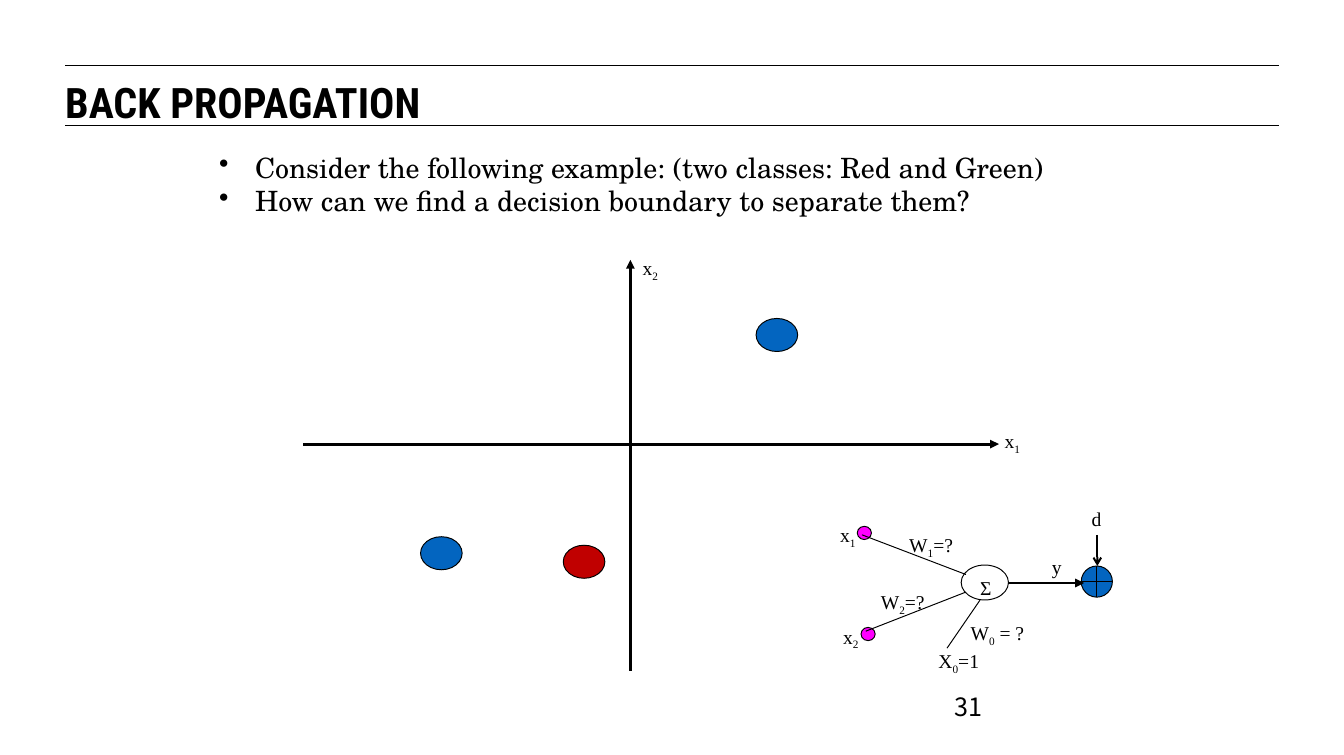
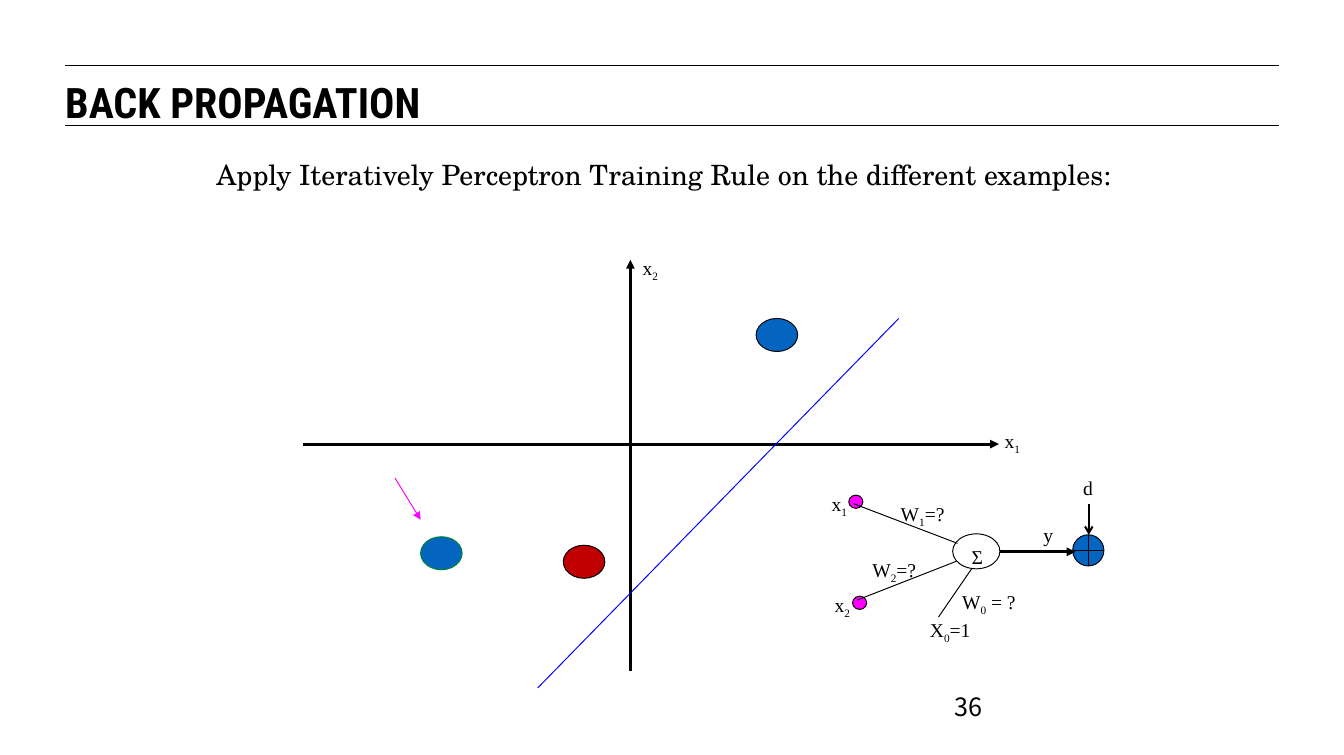
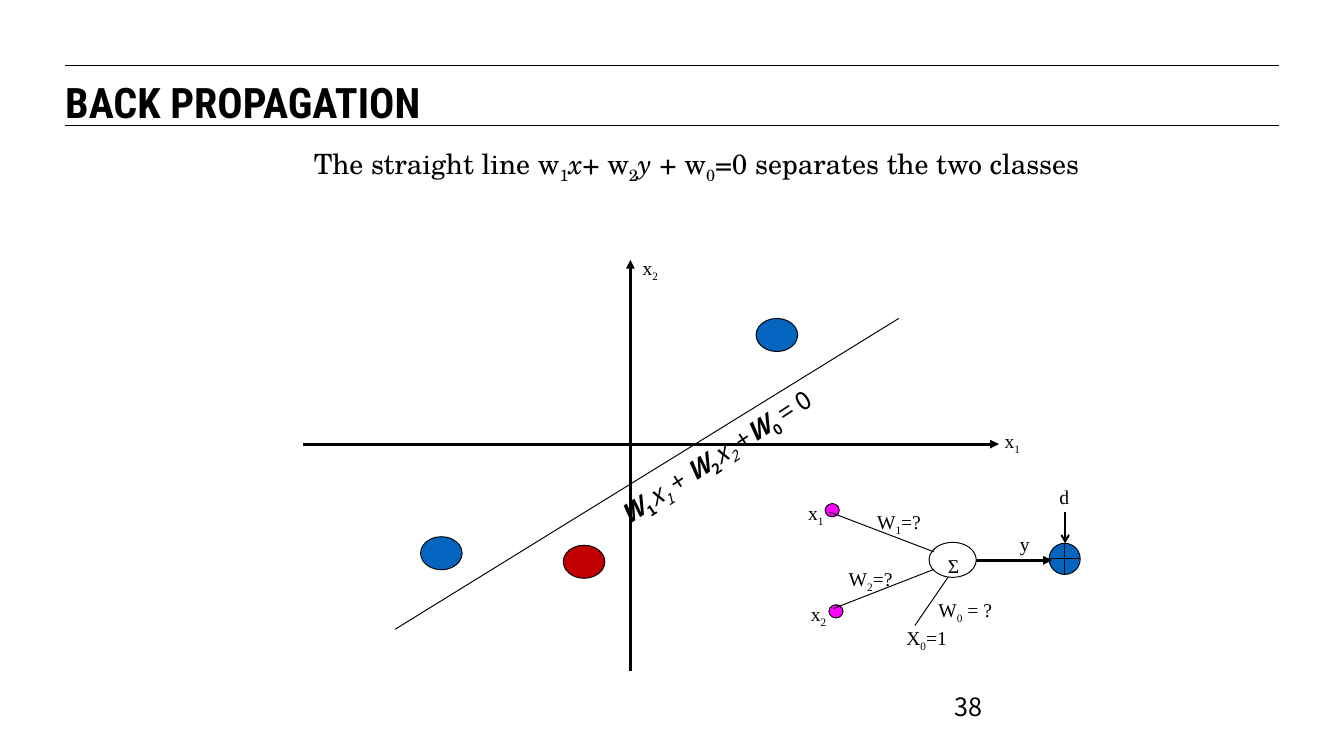
"""Build three slides on finding a decision boundary with a perceptron."""
from dataclasses import dataclass

from lxml import etree
from pptx import Presentation
from pptx import util as u
from pptx.dml.color import RGBColor
from pptx.enum import shapes, text
from pptx.oxml import ns


@dataclass(frozen=True)
class Theme:
    ink: str = "000000"
    red: str = "C00000"
    blue: str = "0365C0"
    green: str = "00882B"
    magenta: str = "FF00FF"
    boundary: str = "0000FF"
    title: tuple = ("Roboto Condensed", 32)
    body: tuple = ("TeX Gyre Schola", 21.3)
    label: tuple = ("Times New Roman", 14.9)
    plain: tuple = ("Noto Sans CJK KR", 19.2)
    thin: float = 0.75
    medium: float = 1.5
    thick: float = 2.25


theme = Theme()
COLUMNS, ROWS = 14.22, 7.99
deck = Presentation()
deck.slide_width, deck.slide_height = u.Inches(COLUMNS), u.Inches(ROWS)
column, row = deck.slide_width / COLUMNS, deck.slide_height / ROWS


def add_text(parent, at, paragraphs, style, wrap=True, grow=True, inset=(0.11, 0.05), bullet=False):
    """Add a text box; run marks are b for bold, i for italic, _ for subscript."""
    left, top, width, height = at
    box = parent.add_textbox(int(left * column), int(top * row), int(width * column), int(height * row))
    frame = box.text_frame
    frame.word_wrap = wrap
    frame.auto_size = text.MSO_AUTO_SIZE.SHAPE_TO_FIT_TEXT if grow else text.MSO_AUTO_SIZE.NONE
    frame.margin_left = frame.margin_right = int(inset[0] * column)
    frame.margin_top = frame.margin_bottom = int(inset[1] * row)
    for index, runs in enumerate(paragraphs):
        para = frame.paragraphs[0] if index == 0 else frame.add_paragraph()
        if bullet:
            props = para._p.get_or_add_pPr()
            props.set("marL", str(int(0.38 * column)))
            props.set("indent", str(int(-0.38 * column)))
            colour = etree.SubElement(props, ns.qn("a:buClr"))
            etree.SubElement(colour, ns.qn("a:srgbClr"), val=theme.ink)
            etree.SubElement(props, ns.qn("a:buChar"), char="•")
        for words, marks in runs:
            span = para.add_run()
            span.text = words
            span.font.name, span.font.size = style[0], u.Pt(style[1])
            span.font.color.rgb = RGBColor.from_string(theme.ink)
            span.font.bold, span.font.italic = "b" in marks, "i" in marks
            if "_" in marks:
                span._r.get_or_add_rPr().set("baseline", "-25000")
    return box


def add_line(parent, start, end, weight=theme.thin, colour=theme.ink, head=None):
    """Add a straight line, with an arrowhead at its end if one is named."""
    line = parent.add_connector(
        shapes.MSO_CONNECTOR.STRAIGHT,
        int(start[0] * column), int(start[1] * row), int(end[0] * column), int(end[1] * row))
    line.line.width = u.Pt(weight)
    line.line.color.rgb = RGBColor.from_string(colour)
    if head:
        etree.SubElement(line.line._get_or_add_ln(), ns.qn("a:tailEnd"), type=head)
    etree.SubElement(line._element.spPr, ns.qn("a:effectLst"))


x1, x2 = ([("x", ""), (digit, "_")] for digit in "12")
w0, w1, w2 = ([("W", ""), (digit, "_"), (rest, "")] for digit, rest in zip("012", (" = ?", "=?", "=?")))
bias = [("X", ""), ("0", "_"), ("=1", "")]

network_labels = [
    (0, 0.17, 0.39, x1), (0.03, 1.24, 0.39, x2), (1.04, 1.5, 0.66, bias),
    (1.38, 1.2, 0.8, w0), (0.73, 0.27, 0.69, w1), (0.43, 0.87, 0.69, w2),
    (1.48, 0.73, 0.34, [("Σ", "")]), (2.24, 0.5, 0.32, [("y", "")]), (2.66, 0, 0.32, [("d", "")]),
]
network_lines = [
    ((0.34, 0.34), (1.44, 0.76), theme.thin, None),
    ((0.38, 1.36), (1.43, 0.95), theme.thin, None),
    ((1.24, 1.54), (1.59, 1.03), theme.thin, None),
    ((1.89, 0.85), (2.69, 0.85), theme.thick, "triangle"),
    ((2.83, 0.34), (2.83, 0.67), theme.medium, "arrow"),
]
oval, summing = shapes.MSO_SHAPE.OVAL, shapes.MSO_SHAPE.FLOWCHART_OR
network_nodes = [
    (oval, 0.33, 1.32, 0.15, 0.14, theme.magenta), (oval, 0.29, 0.25, 0.15, 0.14, theme.magenta),
    (oval, 1.39, 0.66, 0.5, 0.37, None), (summing, 2.66, 0.67, 0.33, 0.33, theme.blue),
]
points = [(5.96, 5.77, theme.red), (8, 3.37, theme.blue), (4.45, 5.68, theme.blue)]

formula = [
    ("W", "bi"), ("1", "b_"), ("x", "i"), ("1", "i_"), (" + ", ""),
    ("W", "bi"), ("2", "b_"), ("x", "i"), ("2", "i_"), (" +", ""),
    ("W", "bi"), ("0", "b_"), (" = 0", ""),
]
slides = [
    dict(number="31", network=(8.78, 5.32), at=(2.21, 1.54, 10.03, 0.82), bullet=True,
         body=[[("Consider the following example: (two classes: Red and Green)", "")],
               [("How can we find a decision boundary to separate them?", "")]],
         last_outline=theme.ink, lines=[], formula=False),
    dict(number="36", network=(8.69, 4.99), at=(2.18, 1.62, 10.03, 0.47), bullet=False,
         body=[[("Apply Iteratively Perceptron Training Rule on the different examples:", "")]],
         last_outline=theme.green, formula=False,
         lines=[((9.51, 3.37), (5.69, 7.28), theme.thin, theme.boundary, None),
                ((4.18, 5.06), (4.45, 5.5), theme.thin, theme.magenta, "triangle")]),
    dict(number="38", network=(8.44, 5.08), at=(3.21, 1.5, 8.61, 0.47), bullet=False,
         body=[[("The straight line w", ""), ("1", "_"), ("x", "i"), ("+ w", ""), ("2", "_"), ("y", "i"),
                (" + w", ""), ("0", "_"), ("=0 separates the two classes", "")]],
         last_outline=theme.ink, formula=True,
         lines=[((9.51, 3.37), (4.18, 6.66), theme.thin, theme.ink, None)]),
]

for content in slides:
    page = deck.slides.add_slide(deck.slide_layouts[6])
    for level in (0.69, 1.33):
        add_line(page.shapes, (0.69, level), (13.53, level))
    add_text(page.shapes, (0.69, 0.81, 12.83, 0.47), [[("BACK PROPAGATION", "b")]], theme.title,
             grow=False, inset=(0, 0))
    add_text(page.shapes, (9.99, 7.27, 2.22, 0.53), [[(content["number"], "")]], theme.plain, grow=False)
    add_text(page.shapes, content["at"], content["body"], theme.body, bullet=content["bullet"])

    add_line(page.shapes, (6.67, 7.1), (6.67, 2.75), theme.thick, head="triangle")
    add_line(page.shapes, (3.21, 4.7), (10.57, 4.7), theme.thick, head="triangle")
    for left, top, name in ((10.52, 4.49, x1), (6.69, 2.66, x2)):
        add_text(page.shapes, (left, top, 0.39, 0.36), [name], theme.label, wrap=False)

    network = page.shapes.add_group_shape().shapes
    across, down = content["network"]
    outlines = [theme.ink, theme.ink, content["last_outline"]]
    nodes = [(page.shapes, oval, left, top, 0.44, 0.35, fill, outline)
             for (left, top, fill), outline in zip(points, outlines)]
    nodes += [(network, kind, across + left, down + top, width, height, fill, theme.ink)
              for kind, left, top, width, height, fill in network_nodes]
    for parent, kind, left, top, width, height, fill, outline in nodes:
        node = parent.add_shape(
            kind, int(left * column), int(top * row), int(width * column), int(height * row))
        node.shadow.inherit = False
        node.line.width = u.Pt(theme.thin)
        node.line.color.rgb = RGBColor.from_string(outline)
        if fill:
            node.fill.solid()
            node.fill.fore_color.rgb = RGBColor.from_string(fill)
        else:
            node.fill.background()

    for start, end, weight, head in network_lines:
        add_line(network, (across + start[0], down + start[1]), (across + end[0], down + end[1]),
                 weight, head=head)
    for left, top, width, runs in network_labels:
        add_text(network, (across + left, down + top, width, 0.36), [runs], theme.label, wrap=False)

    for start, end, weight, colour, head in content["lines"]:
        add_line(page.shapes, start, end, weight, colour, head)
    if content["formula"]:
        equation = add_text(page.shapes, (6.22, 4.35, 3.55, 0.43), [formula], theme.plain)
        equation.rotation = 326.9

deck.save("out.pptx")
